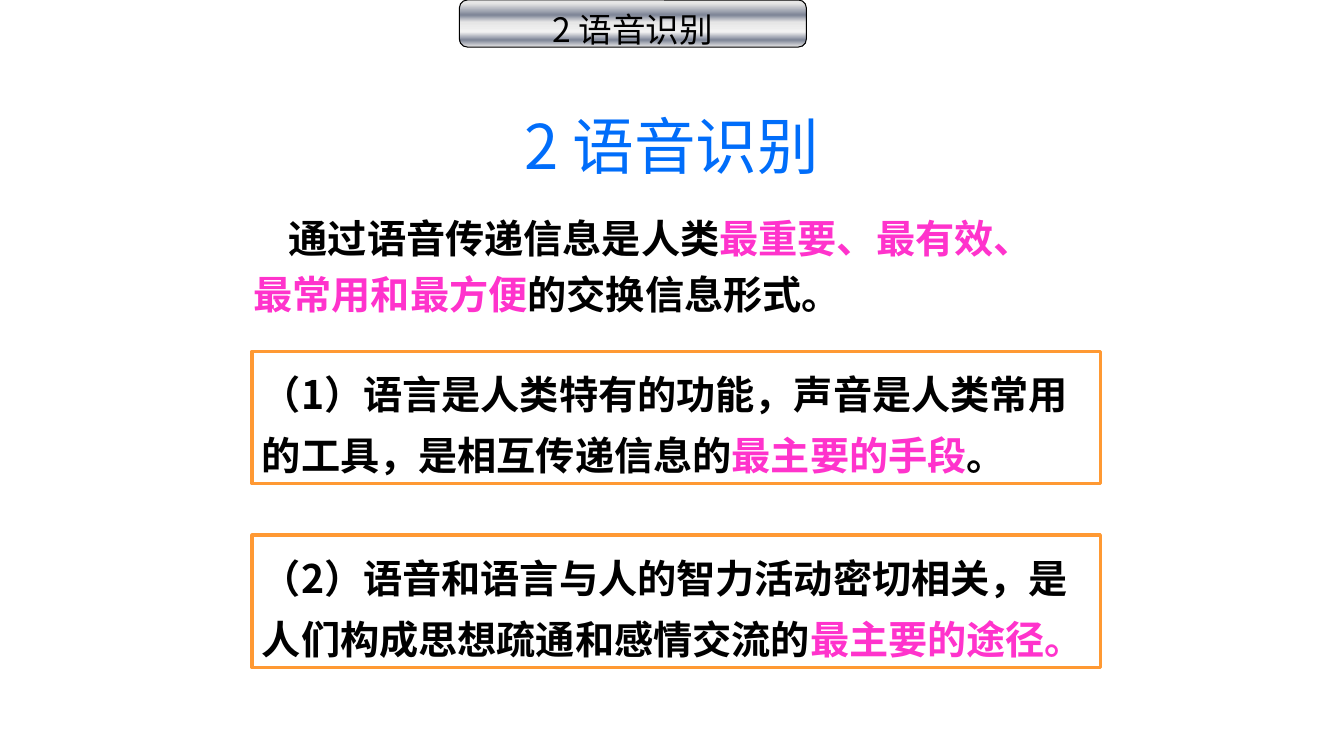
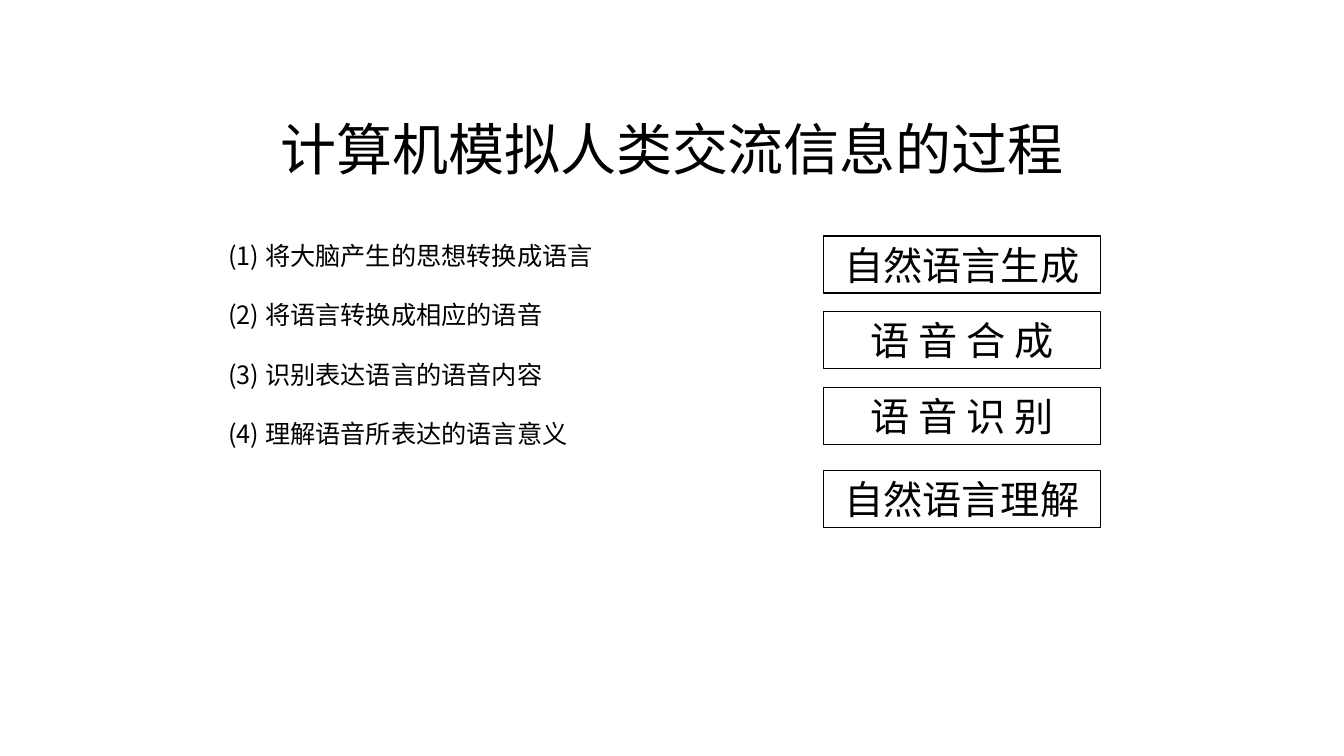
from lxml.etree import SubElement
from pptx import Presentation
from pptx.dml.color import RGBColor
from pptx.enum.shapes import MSO_SHAPE
from pptx.enum.text import MSO_ANCHOR, PP_ALIGN
from pptx.oxml.ns import qn
from pptx.util import Inches, Pt

# Grid: 16 columns by 9 rows
SLIDE_WIDTH, SLIDE_HEIGHT = Inches(13.33), Inches(7.5)
COLUMN, ROW = SLIDE_WIDTH / 16, SLIDE_HEIGHT / 9

# Shared style
FONT = "Noto Sans CJK SC"
LINE_HEIGHT = 1.2
BLACK = RGBColor(0x00, 0x00, 0x00)
BLUE = RGBColor(0x00, 0x6D, 0xFA)
PINK = RGBColor(0xFF, 0x33, 0xCC)
ORANGE = RGBColor(0xFF, 0x99, 0x33)
SILVER = RGBColor(0xE6, 0xE6, 0xE6)
PALE = RGBColor(0xF2, 0xF2, 0xF2)
STEEL = RGBColor(0x7D, 0x84, 0x96)
METAL_STOPS = [(7, SILVER), (32, STEEL), (47, SILVER),
               (68, PALE), (85, STEEL), (100, SILVER)]
TITLE_AREA = (1.1, 0.48, 13.8, 1.74)


def place(area):
    """Turn columns and rows into slide lengths."""
    left, top, width, height = area
    return (round(left * COLUMN), round(top * ROW),
            round(width * COLUMN), round(height * ROW))


def write(paragraph, runs, size=28, color=BLACK, bold=False, align=PP_ALIGN.LEFT,
          spacing=1.0, before=0, indent=0):
    """Write a string, or a list of (text, color) runs, as one paragraph."""
    paragraph.alignment = align
    paragraph.line_spacing = Pt(round(size * LINE_HEIGHT * spacing, 1))
    paragraph.space_before = Pt(before)
    if indent:
        paragraph._p.get_or_add_pPr().set("indent", str(Inches(indent)))
    if isinstance(runs, str):
        runs = [(runs, color)]
    for text, run_color in runs:
        run = paragraph.add_run()
        run.text = text
        run.font.size = Pt(size)
        run.font.bold = bold
        run.font.color.rgb = run_color
        run.font.name = FONT
        SubElement(run._r.rPr, qn("a:ea")).set("typeface", FONT)


def add_text(slide, area, paragraphs, anchor=MSO_ANCHOR.TOP):
    """Add a text box; each paragraph is (runs, format)."""
    frame = slide.shapes.add_textbox(*place(area)).text_frame
    frame.word_wrap = True
    frame.vertical_anchor = anchor
    for index, (runs, style) in enumerate(paragraphs):
        paragraph = frame.add_paragraph() if index else frame.paragraphs[0]
        write(paragraph, runs, **style)


def add_title(slide, text, **style):
    add_text(slide, TITLE_AREA,
             [(text, dict(align=PP_ALIGN.CENTER, spacing=0.9, **style))],
             anchor=MSO_ANCHOR.BOTTOM)


def add_box(slide, area, runs, kind=MSO_SHAPE.RECTANGLE, line=BLACK, weight=1,
            anchor=MSO_ANCHOR.TOP, **style):
    """Add an outlined, unfilled shape with one paragraph."""
    shape = slide.shapes.add_shape(kind, *place(area))
    shape.shadow.inherit = False
    shape.fill.background()
    shape.line.color.rgb = line
    shape.line.width = Pt(weight)
    shape.text_frame.word_wrap = True
    shape.text_frame.vertical_anchor = anchor
    write(shape.text_frame.paragraphs[0], runs, **style)
    return shape


def fill_metal(shape):
    """Fill a shape with the vertical metal gradient."""
    shape.fill.gradient()
    shape.fill.gradient_angle = 270
    stops = shape._element.spPr.find(qn("a:gradFill")).find(qn("a:gsLst"))
    for stop in list(stops):
        stops.remove(stop)
    for position, color in METAL_STOPS:
        stop = SubElement(stops, qn("a:gs"), pos=str(position * 1000))
        SubElement(stop, qn("a:srgbClr"), val=str(color))


def build_recognition(slide):
    heading = "2 语音识别"
    add_title(slide, heading, size=44, color=BLUE)

    # Section tab
    tab = add_box(slide, (5.47, 0, 4.13, 0.56), heading,
                  kind=MSO_SHAPE.ROUNDED_RECTANGLE, weight=0.75,
                  size=24, align=PP_ALIGN.CENTER, spacing=1.05)
    fill_metal(tab)

    # Introduction
    introduction = [("通过语音传递信息是人类", BLACK),
                    ("最重要、最有效、最常用和最方便", PINK),
                    ("的交换信息形式。", BLACK)]
    add_text(slide, (2.9, 2.38, 9.9, 1.48),
             [(introduction, dict(bold=True, spacing=1.2, indent=0.35))])

    # Framed statements
    statements = [
        [("（1）语言是人类特有的功能，声音是人类常用的工具，是相互传递信息的", BLACK),
         ("最主要的手段", PINK), ("。", BLACK)],
        [("（2）语音和语言与人的智力活动密切相关，是人们构成思想疏通和感情交流的", BLACK),
         ("最主要的途径。", PINK)],
    ]
    for index, runs in enumerate(statements):
        add_box(slide, (3, 4.18 + 2.19 * index, 10.1, 1.58), runs,
                line=ORANGE, weight=2.25, bold=True, spacing=1.3)


def build_process(slide):
    add_title(slide, "计算机模拟人类交流信息的过程", size=40)

    # Steps
    steps = ["(1) 将大脑产生的思想转换成语言", "(2) 将语言转换成相应的语音",
             "(3) 识别表达语言的语音内容", "(4) 理解语音所表达的语言意义"]
    first = dict(size=18, align=PP_ALIGN.JUSTIFY)
    later = dict(first, spacing=1.8, before=3.6)
    add_text(slide, (2.6, 2.8, 6.9, 3.9),
             [(step, later if index else first) for index, step in enumerate(steps)])

    # Technology for each step
    technologies = [("自然语言生成", 2.81), ("语 音 合 成", 3.71),
                    ("语 音 识 别", 4.61), ("自然语言理解", 5.6)]
    for text, top in technologies:
        add_box(slide, (9.8, top, 3.3, 0.68), text,
                anchor=MSO_ANCHOR.MIDDLE, align=PP_ALIGN.CENTER)


def main():
    presentation = Presentation()
    presentation.slide_width, presentation.slide_height = SLIDE_WIDTH, SLIDE_HEIGHT
    for build in (build_recognition, build_process):
        build(presentation.slides.add_slide(presentation.slide_layouts[6]))
    presentation.save("out.pptx")


if __name__ == "__main__":
    main()
